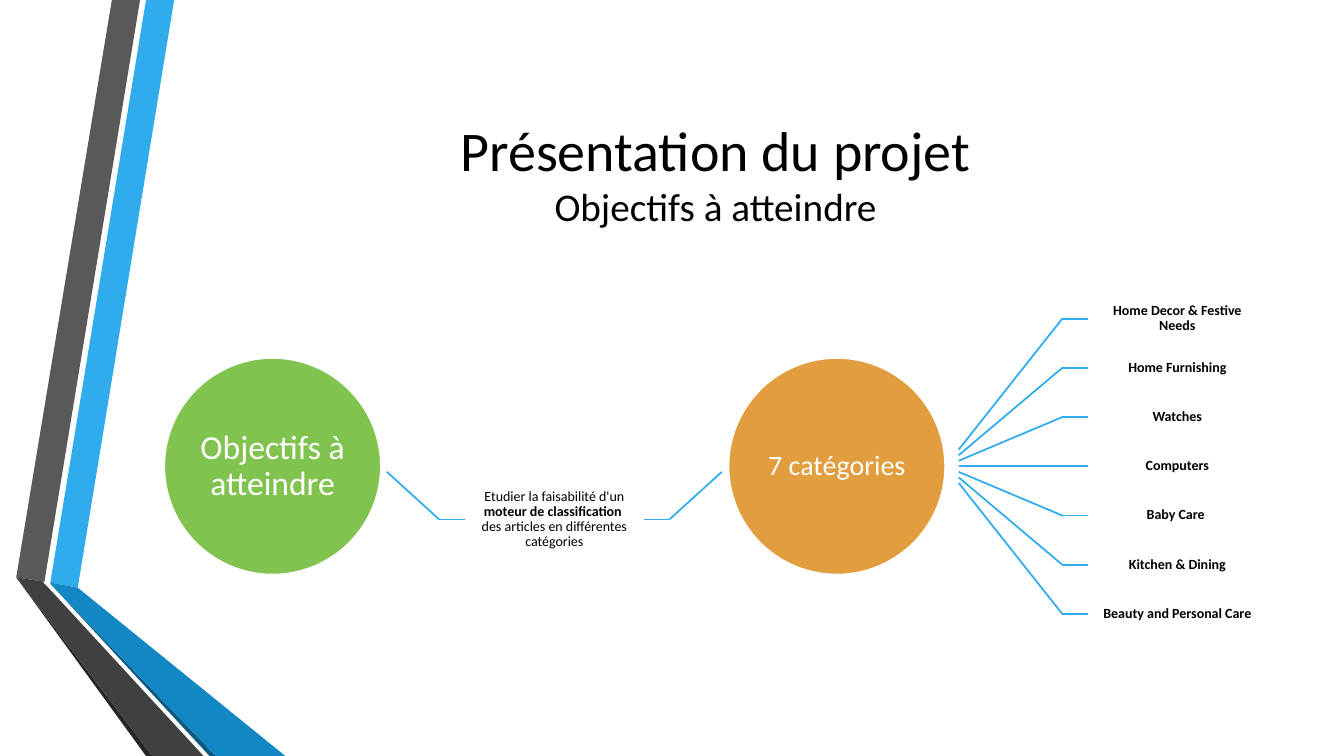
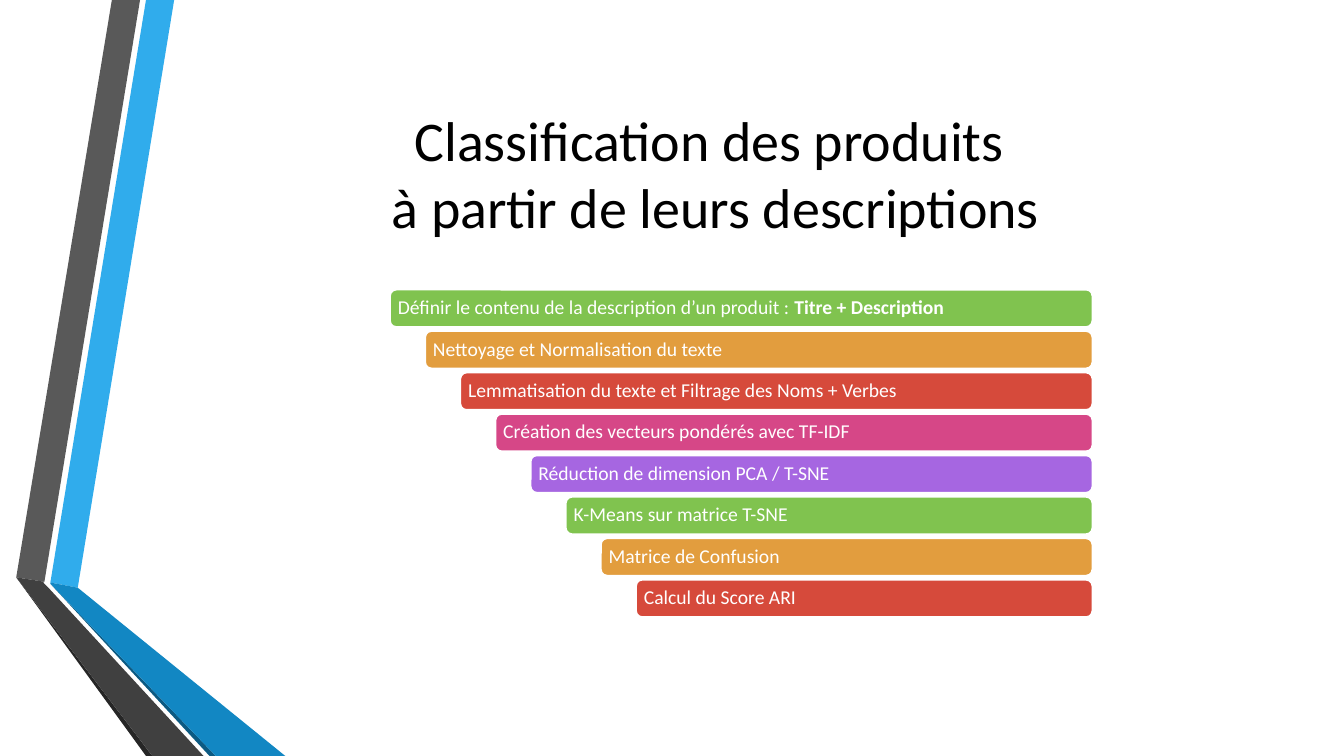
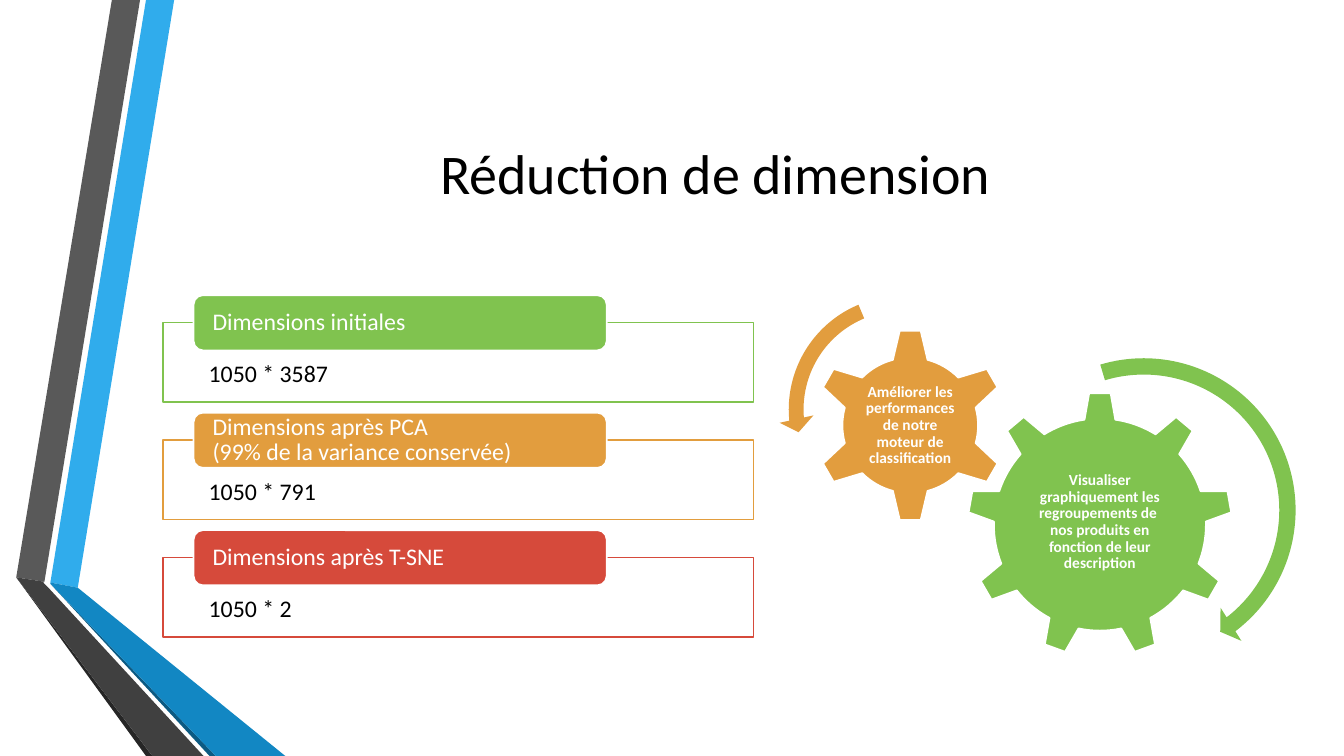
from dataclasses import dataclass

from lxml import etree
from pptx import Presentation
from pptx.dml.color import RGBColor
from pptx.enum.shapes import MSO_CONNECTOR, MSO_SHAPE
from pptx.enum.text import MSO_ANCHOR, PP_ALIGN
from pptx.oxml.ns import qn
from pptx.util import Cm, Pt

STRAIGHT = MSO_CONNECTOR.STRAIGHT
ELLIPSE = MSO_SHAPE.OVAL
RECTANGLE = MSO_SHAPE.RECTANGLE
ROUNDED = MSO_SHAPE.ROUNDED_RECTANGLE
SMALL_GEAR = MSO_SHAPE.GEAR_6
LARGE_GEAR = MSO_SHAPE.GEAR_9
ARC_RIGHT = MSO_SHAPE.CIRCULAR_ARROW
ARC_LEFT = MSO_SHAPE.LEFT_CIRCULAR_ARROW
LEFT, CENTER = PP_ALIGN.LEFT, PP_ALIGN.CENTER
TOP, MIDDLE = MSO_ANCHOR.TOP, MSO_ANCHOR.MIDDLE
LEFT_SIDE, RIGHT_SIDE = 1, 3
TITLE_ONLY = 5


@dataclass(frozen=True)
class Theme:
    font: str = "Calibri"
    black: str = "000000"
    white: str = "FFFFFF"
    blue: str = "30ACEC"
    blue_dark: str = "1287C3"
    navy: str = "0C5A82"
    grey: str = "595959"
    grey_dark: str = "404040"
    charcoal: str = "262626"
    green: str = "80C34F"
    orange: str = "E29D3E"
    red: str = "D64A3B"
    pink: str = "D64787"
    violet: str = "A666E1"
    title: int = 40
    subtitle: int = 28
    goal: int = 24
    count: int = 20
    panel: int = 17
    step: int = 14
    gear: int = 11
    label: int = 10
    line: float = 1.25


THEME = Theme()

# Side bands, as outlines in centimetres
BANDS = [
    (THEME.blue, [(1.27, 14.68), (1.96, 14.81), (4.39, 0), (3.68, 0)]),
    (THEME.grey, [(3.53, 0), (2.82, 0), (0.41, 14.55), (1.12, 14.66)]),
    (THEME.charcoal, [(0.41, 14.55), (3.68, 19.05), (3.84, 19.05)]),
    (THEME.navy, [(1.27, 14.71), (5.28, 19.05), (5.44, 19.05)]),
    (THEME.blue_dark, [(1.27, 14.71), (5.44, 19.05), (7.19, 19.05),
                       (1.96, 14.81), (1.27, 14.68)]),
    (THEME.grey_dark, [(5.13, 19.05), (1.22, 14.81), (1.09, 14.68),
                       (1.12, 14.66), (0.41, 14.55), (3.84, 19.05)]),
]


# Text
def add_runs(para, text, size=None, color=None, bold=None):
    """Add text as runs, turning each newline into a line break."""
    for index, part in enumerate(text.split("\n")):
        if index:
            para.add_line_break()
        if part:
            span = para.add_run()
            span.text = part
            span.font.name = THEME.font
            span.font.bold = bold
            if size:
                span.font.size = Pt(size)
            if color:
                span.font.color.rgb = RGBColor.from_string(color)


def write(shape, pieces, size, color=THEME.white, align=CENTER, anchor=MIDDLE,
          margins=(0, 0, 0, 0)):
    """Fill a shape with (text, bold) pieces; margins run left, top, right, bottom."""
    frame = shape.text_frame
    frame.word_wrap = True
    frame.vertical_anchor = anchor
    (frame.margin_left, frame.margin_top,
     frame.margin_right, frame.margin_bottom) = [Cm(margin) for margin in margins]
    para = frame.paragraphs[0]
    para.alignment = align
    para.line_spacing = 0.9
    for text, bold in pieces:
        add_runs(para, text, size, color, bold)


# Shapes
def paint(shape, fill, line=None):
    shape.shadow.inherit = False
    shape.fill.solid()
    shape.fill.fore_color.rgb = RGBColor.from_string(fill)
    if line:
        shape.line.color.rgb = RGBColor.from_string(line)
        shape.line.width = Pt(THEME.line)
    else:
        shape.line.fill.background()


def add_block(page, kind, box, fill, line=THEME.white):
    shape = page.shapes.add_shape(kind, *[Cm(length) for length in box])
    paint(shape, fill, line)
    return shape


def add_label(page, box, pieces):
    label = page.shapes.add_textbox(*[Cm(length) for length in box])
    write(label, pieces, THEME.label, THEME.black, margins=(0.2,) * 4)
    return label


def add_line(page, start, end):
    line = page.shapes.add_connector(STRAIGHT, *start, *end)
    line.line.color.rgb = RGBColor.from_string(THEME.blue)
    line.line.width = Pt(THEME.line)
    etree.SubElement(line.element.spPr, qn("a:effectLst"))
    return line


def add_bent_link(page, start, label, side):
    """Slanted line from start, then a short stub joined to the label's side."""
    middle = label.top + label.height // 2
    if side == LEFT_SIDE:
        edge, corner = label.left, label.left - Cm(0.64)
    else:
        edge = label.left + label.width
        corner = edge + Cm(0.64)
    add_line(page, [Cm(length) for length in start], (corner, middle))
    stub = add_line(page, (corner, middle), (edge, middle))
    stub.end_connect(label, side)


def add_arc(page, kind, box, color, adjustments):
    arc = add_block(page, kind, box, color, line=None)
    for index, value in enumerate(adjustments):
        arc.adjustments[index] = value


# Shared layout
def style_layout(deck, layout):
    title = layout.placeholders[0]
    title.left, title.top = Cm(4.11), Cm(1.9)
    title.width, title.height = Cm(27.84), Cm(4.88)
    title.text_frame.vertical_anchor = MIDDLE
    title_style = deck.slide_master.element.find(".//" + qn("p:titleStyle"))
    title_style.find(".//" + qn("a:defRPr")).set("sz", str(THEME.title * 100))


def add_bands(page, layout):
    """Draw the bands with the page's builder, then hand them to the layout."""
    for index, (color, outline) in enumerate(BANDS):
        points = [(Cm(x), Cm(y)) for x, y in outline]
        builder = page.shapes.build_freeform(*points[0])
        builder.add_line_segments(points[1:], close=True)
        band = builder.convert_to_shape()
        paint(band, color)
        band.element.nvSpPr.cNvPr.set("id", str(100 + index))
        layout.shapes.element.insert(2 + index, band.element)


def add_page(deck, layout, title, subtitle=None):
    page = deck.slides.add_slide(layout)
    para = page.shapes.title.text_frame.paragraphs[0]
    add_runs(para, title)
    if subtitle:
        add_runs(para, "\n" + subtitle, THEME.subtitle)
    return page


# Slide contents
def fill_goals(page):
    diameter, top = 5.46, 9.02
    center = top + diameter / 2
    for left, color, text, size in [
        (4.14, THEME.green, "Objectifs à atteindre", THEME.goal),
        (18.36, THEME.orange, "7 catégories", THEME.count),
    ]:
        circle = add_block(page, ELLIPSE, (left, top, diameter, diameter), color)
        write(circle, [(text, False)], size)

    goal = add_label(page, (11.71, 11.73, 4.52, 2.72), [
        ("Etudier la faisabilité d'un ", False),
        ("moteur de classification \n", True),
        ("des articles en différentes catégories", False),
    ])
    add_bent_link(page, (9.75, 11.89), goal, LEFT_SIDE)
    add_bent_link(page, (18.19, 11.89), goal, RIGHT_SIDE)

    categories = ["Home Decor & Festive Needs", "Home Furnishing", "Watches",
                  "Computers", "Baby Care ", "Kitchen & Dining",
                  "Beauty and Personal Care"]
    pitch, fan_pitch = 1.24, 0.14
    for index, category in enumerate(categories):
        offset = index - len(categories) // 2
        label_top = center + (offset - 0.5) * pitch
        label = add_label(page, (27.41, label_top, 4.52, pitch), [(category, True)])
        add_bent_link(page, (24.16, center + offset * fan_pitch), label, LEFT_SIDE)


def fill_steps(page):
    steps = [
        (THEME.green, [("Définir le contenu de la description d’un produit : ", False),
                       ("Titre + Description", True)]),
        (THEME.orange, [("Nettoyage et Normalisation du texte", False)]),
        (THEME.red, [("Lemmatisation du texte et Filtrage des Noms + Verbes", False)]),
        (THEME.pink, [("Création des vecteurs pondérés avec TF-IDF", False)]),
        (THEME.violet, [("Réduction de dimension PCA / T-SNE", False)]),
        (THEME.green, [("K-Means sur matrice T-SNE", False)]),
        (THEME.orange, [("Matrice de Confusion", False)]),
        (THEME.red, [("Calcul du Score ARI", False)]),
    ]
    right = 27.53
    for index, (color, pieces) in enumerate(steps):
        share = index / (len(steps) - 1)
        left = 9.83 + 6.2 * share
        top = 7.3 + 7.31 * share
        bar = add_block(page, ROUNDED, (left, top, right - left, 0.94), color)
        write(bar, pieces, THEME.step, align=LEFT, margins=(0.15,) * 4)


def fill_dimensions(page):
    # Gears and their turning arrows
    for kind, left, top, size, color, text in [
        (LARGE_GEAR, 24.38, 9.88, 6.68, THEME.green,
         "Visualiser graphiquement les regroupements de \n"
         "nos produits en fonction de leur description"),
        (SMALL_GEAR, 20.5, 8.28, 4.88, THEME.orange,
         "Améliorer les performances de notre moteur de classification"),
    ]:
        gear = add_block(page, kind, (left, top, size, size), color)
        write(gear, [(text, True)], THEME.gear, margins=(0.05,) * 4)
    add_arc(page, ARC_RIGHT, (24.71, 8.74, 8.23, 8.23), THEME.green,
            (0.05, 3.13, 31.57, 152.02, 0.06))
    add_arc(page, ARC_LEFT, (19.63, 7.21, 6.22, 6.22), THEME.orange,
            (0.06, 4.3, 104.89, 148.38, 0.07))

    # Framed sizes with their headings
    panels = [
        (THEME.green, "Dimensions initiales", "1050 * 3587"),
        (THEME.orange, "Dimensions après PCA \n(99% de la variance conservée)",
         "1050 * 791"),
        (THEME.red, "Dimensions après T-SNE", "1050 * 2"),
    ]
    for index, (color, heading, size) in enumerate(panels):
        top = 8.13 + 2.96 * index
        panel = add_block(page, RECTANGLE, (4.11, top, 14.88, 2), THEME.white, color)
        write(panel, [(size, False)], THEME.panel, THEME.black, LEFT, TOP,
              (1.15, 1, 1.15, 0.32))
        header = add_block(page, ROUNDED, (4.88, top - 0.69, 10.41, 1.39), color)
        write(header, [(heading, False)], THEME.panel, align=LEFT,
              margins=(0.41, 0, 0.41, 0))


def main():
    deck = Presentation()
    deck.slide_width, deck.slide_height = Cm(33.87), Cm(19.05)
    layout = deck.slide_layouts[TITLE_ONLY]
    style_layout(deck, layout)

    goals = add_page(deck, layout, "Présentation du projet", "Objectifs à atteindre")
    add_bands(goals, layout)
    fill_goals(goals)
    fill_steps(add_page(deck, layout,
                        "Classification des produits \nà partir de leurs descriptions"))
    fill_dimensions(add_page(deck, layout, "Réduction de dimension"))
    deck.save("out.pptx")


if __name__ == "__main__":
    main()
